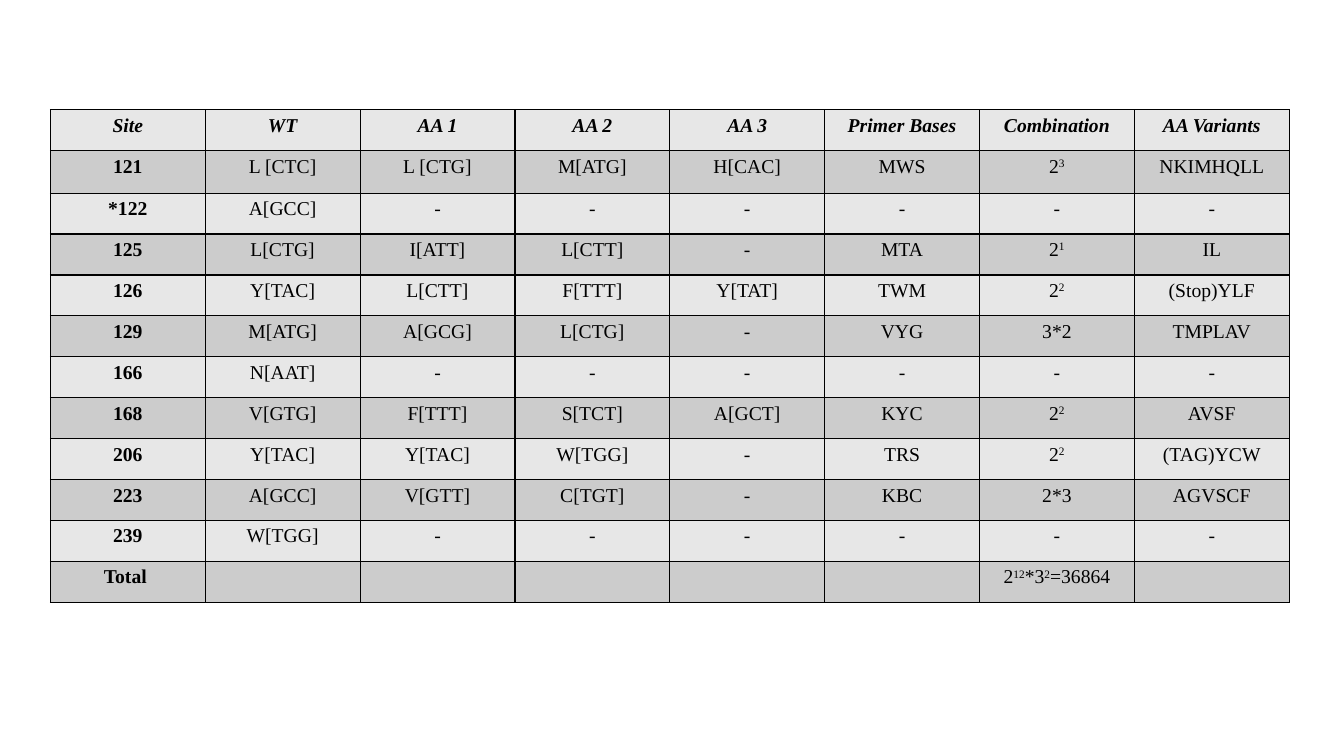
from lxml.etree import SubElement
from pptx import Presentation
from pptx.dml.color import RGBColor
from pptx.enum.text import PP_ALIGN
from pptx.oxml.ns import qn
from pptx.util import Pt

HEADINGS = ["Site", "WT", "AA 1", "AA 2", "AA 3", "Primer Bases", "Combination", "AA Variants"]
SITES = [
    ["121", "L [CTC]", "L [CTG]", "M[ATG]", "H[CAC]", "MWS", "2^3^", "NKIMHQLL"],
    ["*122", "A[GCC]"] + ["-"] * 6,
    ["125", "L[CTG]", "I[ATT]", "L[CTT]", "-", "MTA", "2^1^", "IL"],
    ["126", "Y[TAC]", "L[CTT]", "F[TTT]", "Y[TAT]", "TWM", "2^2^", "(Stop)YLF"],
    ["129", "M[ATG]", "A[GCG]", "L[CTG]", "-", "VYG", "3*2", "TMPLAV"],
    ["166", "N[AAT]"] + ["-"] * 6,
    ["168", "V[GTG]", "F[TTT]", "S[TCT]", "A[GCT]", "KYC", "2^2^", "AVSF"],
    ["206", "Y[TAC]", "Y[TAC]", "W[TGG]", "-", "TRS", "2^2^", "(TAG)YCW"],
    ["223", "A[GCC]", "V[GTT]", "C[TGT]", "-", "KBC", "2*3", "AGVSCF"],
    ["239", "W[TGG]"] + ["-"] * 6,
]
TOTAL = ["Total "] + [""] * 5 + ["2^12^*3^2^=36864", ""]
BANDS = ["E7E7E7", "CCCCCC"]


def paint(fill, color):
    fill.solid()
    fill.fore_color.rgb = RGBColor.from_string(color)


def write(frame, text, size=14, font="Times New Roman", color="000000", bold=False, italic=False):
    paragraph = frame.paragraphs[0]
    paragraph.alignment = PP_ALIGN.CENTER
    for position, piece in enumerate(text.split("^")):
        if not piece:
            continue
        run = paragraph.add_run()
        run.text = piece
        run.font.size = Pt(size)
        run.font.name = font
        run.font.bold = bold
        run.font.italic = italic
        paint(run.font.fill, color)
        if position % 2:
            run.font._element.set("baseline", "30000")


def add_borders(cell, color="000000", width=1):
    properties = cell._tc.get_or_add_tcPr()
    for side in ("a:lnL", "a:lnR", "a:lnT", "a:lnB"):
        border = SubElement(properties, qn(side), w=str(Pt(width)))
        border_fill = SubElement(border, qn("a:solidFill"))
        SubElement(border_fill, qn("a:srgbClr"), val=color)


def add_site_table(slide, left, top, width, height):
    rows = [HEADINGS, *SITES, TOTAL]
    frame = slide.shapes.add_table(
        len(rows), len(HEADINGS), Pt(left), Pt(top), Pt(width), Pt(height)
    )
    site_table = frame.table
    first_site_extra = 1
    row_height = (height - first_site_extra) / len(rows)
    for row_number, texts in enumerate(rows):
        extra = first_site_extra if row_number == 1 else 0
        site_table.rows[row_number].height = Pt(row_height + extra)
        is_heading = row_number == 0
        for column_number, text in enumerate(texts):
            cell = site_table.cell(row_number, column_number)
            add_borders(cell)
            paint(cell.fill, BANDS[row_number % 2])
            write(cell.text_frame, text, bold=is_heading or column_number == 0, italic=is_heading)


def main():
    presentation = Presentation()
    presentation.slide_width = Pt(960)
    presentation.slide_height = Pt(540)
    slide = presentation.slides.add_slide(presentation.slide_layouts[6])
    add_site_table(slide, left=36, top=78.5, width=885, height=352)
    presentation.save("out.pptx")


if __name__ == "__main__":
    main()
